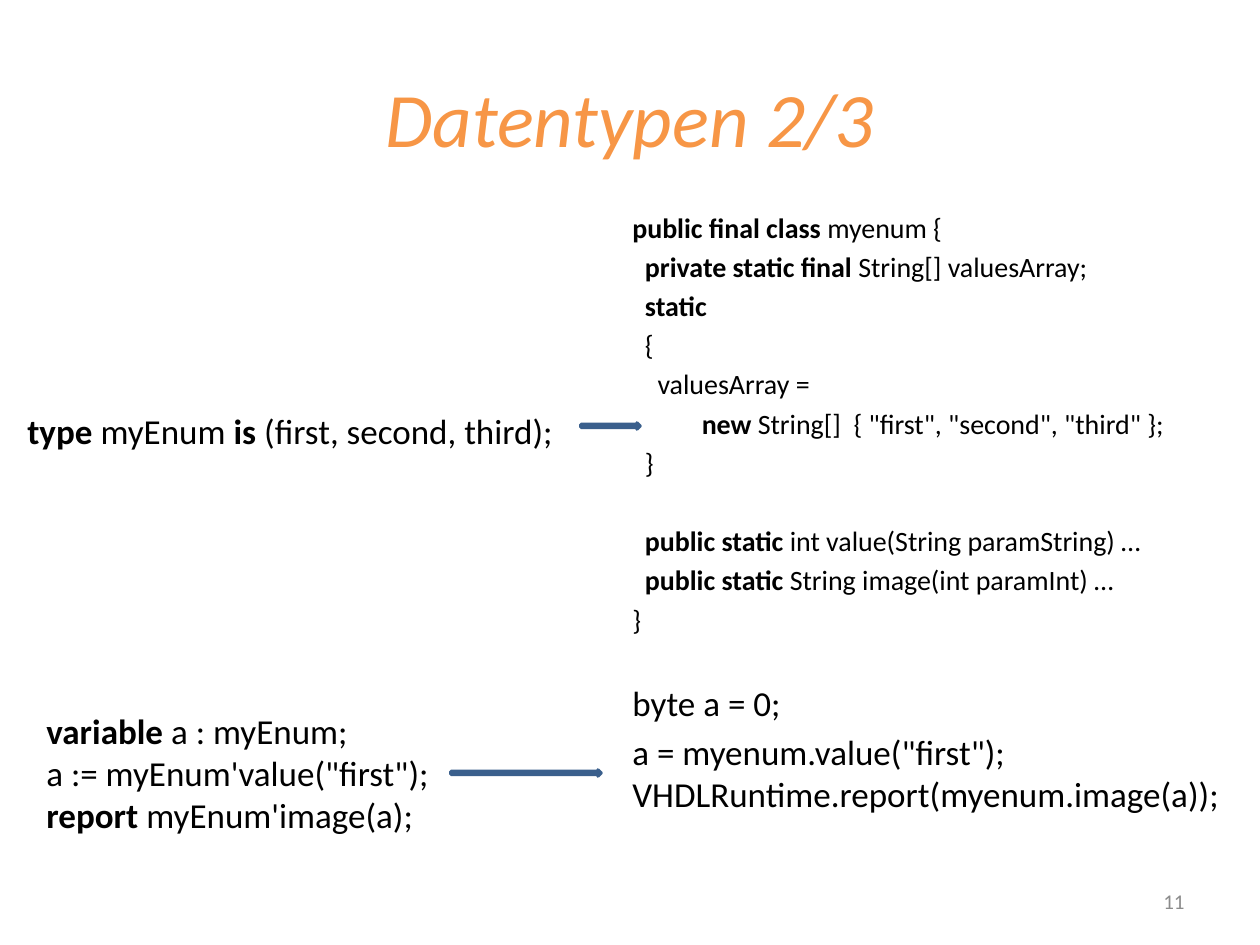
from dataclasses import dataclass

from pptx import Presentation
from pptx.dml.color import RGBColor
from pptx.enum.shapes import MSO_SHAPE
from pptx.enum.text import MSO_ANCHOR, PP_ALIGN
from pptx.util import Emu, Pt

PX = 914400 / 126


@dataclass(frozen=True)
class Box:
    x: int
    y: int
    w: int
    h: int

    def emu(self) -> list[Emu]:
        return [px(v) for v in (self.x, self.y, self.w, self.h)]


@dataclass(frozen=True)
class Line:
    text: str
    size: int = 20
    before: float = 0


def px(n: int) -> Emu:
    return Emu(round(n * PX))


def rgb(value: str) -> RGBColor:
    return RGBColor.from_string(value)


def write(tf, lines: list[Line], color="000000", align=PP_ALIGN.LEFT,
          anchor=MSO_ANCHOR.TOP, italic=False) -> None:
    tf.word_wrap = True
    tf.vertical_anchor = anchor
    for i, line in enumerate(lines):
        p = tf.paragraphs[0] if i == 0 else tf.add_paragraph()
        p.alignment = align
        p.space_before = Pt(line.before)
        for j, part in enumerate(line.text.split("**")):
            if not part:
                continue
            r = p.add_run()
            r.text = part
            r.font.name = "Calibri"
            r.font.size = Pt(line.size)
            r.font.bold = j % 2 == 1
            r.font.italic = italic
            r.font.color.rgb = rgb(color)


def add_text(s, box: Box, lines: list[Line], **fmt) -> None:
    write(s.shapes.add_textbox(*box.emu()).text_frame, lines, **fmt)


def add_arrow(s, box: Box) -> None:
    sp = s.shapes.add_shape(MSO_SHAPE.RIGHT_ARROW, *box.emu())
    sp.shadow.inherit = False
    sp.fill.solid()
    sp.fill.fore_color.rgb = rgb("4F81BD")
    sp.line.color.rgb = rgb("3A5F8C")
    sp.line.width = Pt(2)


VHDL_TYPE = [Line("**type **myEnum **is** (first, second, third);")]

VHDL_USE = [
    Line("**variable** a : myEnum;"),
    Line("a := myEnum'value(\"first\");"),
    Line("**report **myEnum'image(a);"),
]

JAVA = [
    Line("**public final class **myenum {", 16),
    Line("  **private static final **String[] valuesArray;", 16, 3.2),
    Line("  **static**", 16, 3.2),
    Line("  {", 16, 3.2),
    Line("    valuesArray =", 16, 3.2),
    Line('           **new **String[]  { "first", "second", "third" };', 16, 3.2),
    Line("  }", 16, 3.2),
    Line("  **public static **int value(String paramString) …", 16, 25.6),
    Line("  **public static **String image(int paramInt) …", 16, 3.2),
    Line("}", 16, 3.2),
    Line("byte a = 0;", 20, 26.4),
    Line('a = myenum.value("first"); VHDLRuntime.report(myenum.image(a));', 20, 4),
]


def main() -> None:
    prs = Presentation()
    prs.slide_width, prs.slide_height = px(1260), px(945)
    s = prs.slides.add_slide(prs.slide_layouts[5])

    title = s.shapes.title
    title.left, title.top, title.width, title.height = Box(63, 38, 1134, 158).emu()
    write(title.text_frame, [Line("Datentypen 2/3", 44)], color="F79646",
          align=PP_ALIGN.CENTER, anchor=MSO_ANCHOR.MIDDLE, italic=True)

    add_text(s, Box(15, 403, 567, 54), VHDL_TYPE)
    add_text(s, Box(903, 876, 294, 50), [Line("11", 12)], color="8C8C8C",
             align=PP_ALIGN.RIGHT, anchor=MSO_ANCHOR.MIDDLE)
    add_text(s, Box(620, 204, 615, 635), JAVA)
    add_text(s, Box(34, 703, 427, 140), VHDL_USE)
    add_arrow(s, Box(451, 770, 150, 6))
    add_arrow(s, Box(581, 423, 59, 6))

    prs.save("out.pptx")


if __name__ == "__main__":
    main()
